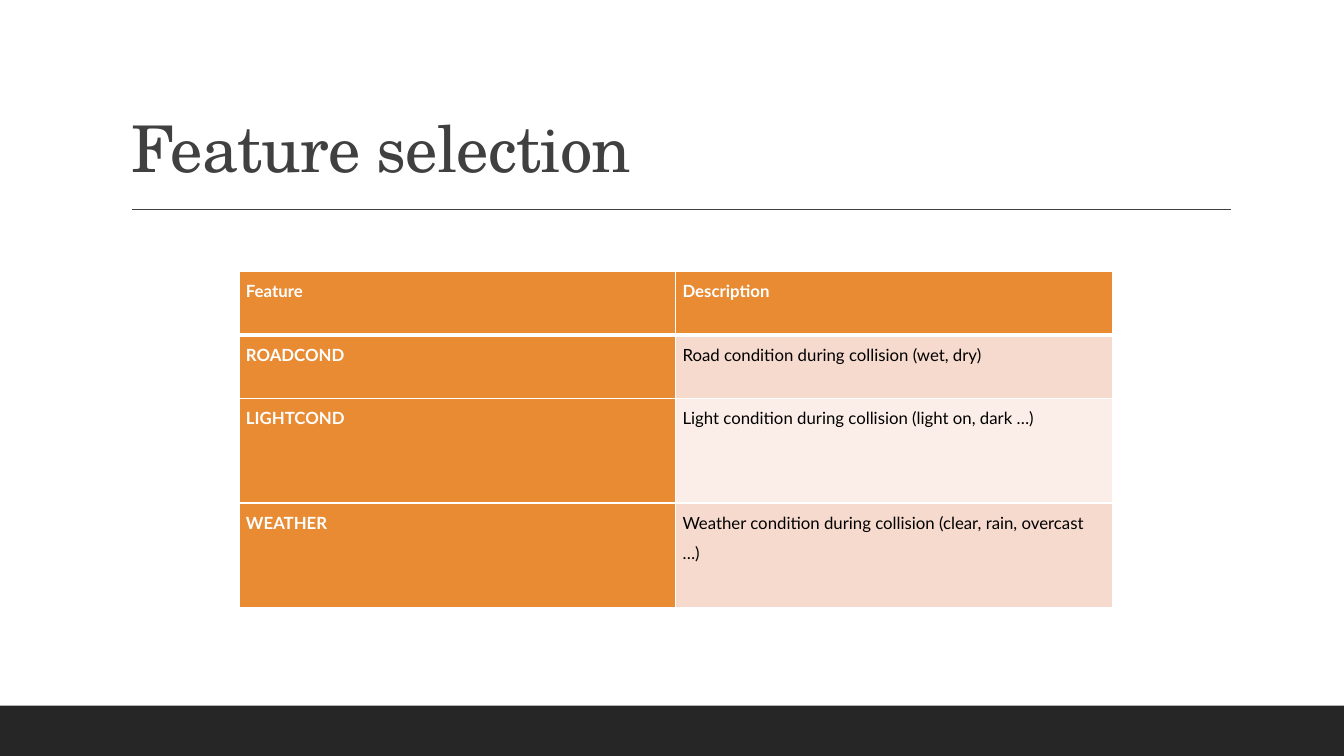
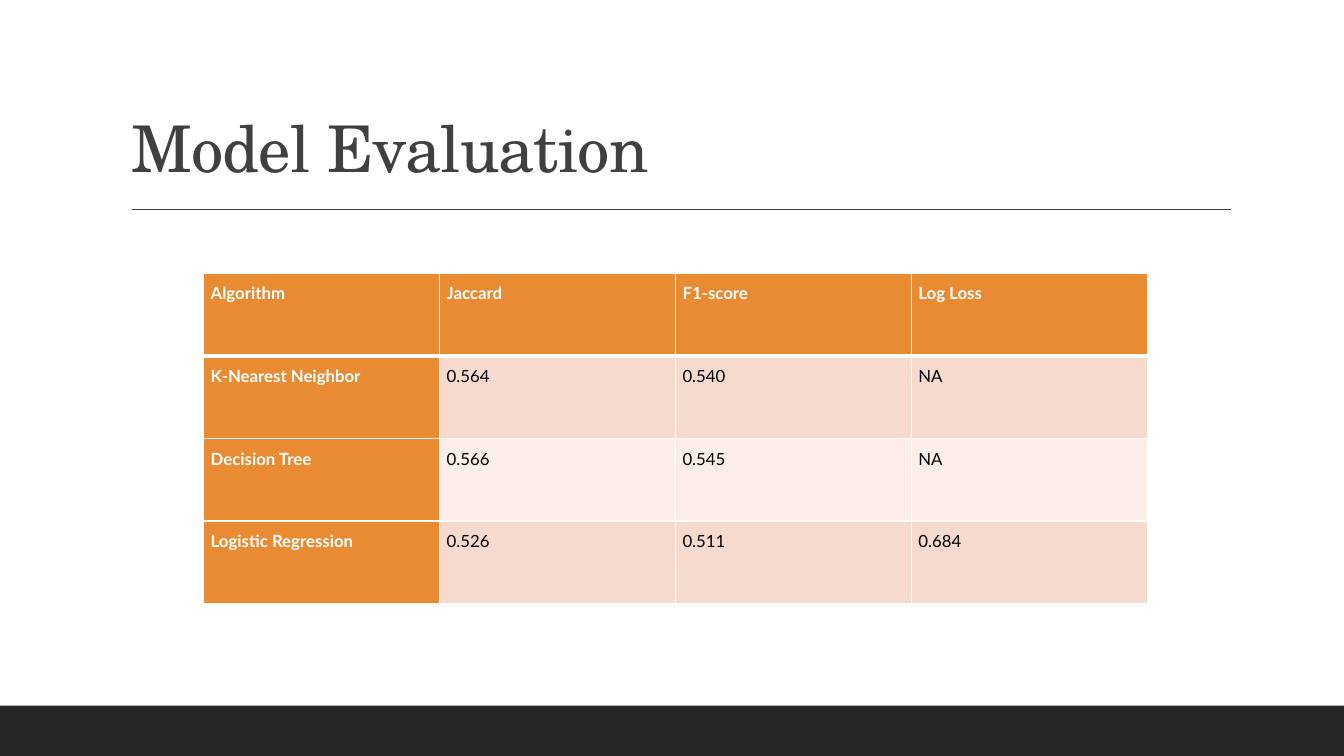
from lxml.etree import SubElement
from pptx import Presentation
from pptx.dml.color import RGBColor
from pptx.enum.shapes import MSO_CONNECTOR as Connector, MSO_SHAPE as Shape
from pptx.enum.text import MSO_ANCHOR as Anchor, MSO_AUTO_SIZE as AutoSize, PP_ALIGN as Align
from pptx.oxml import parse_xml
from pptx.oxml.ns import nsdecls, qn
from pptx.util import Inches, Pt

WHITE, BLACK, DARK, BAND = "FFFFFF", "000000", "404040", "262626"
ORANGE, STRIPES = "E88B33", ("F6DACE", "FBEEE8")

TITLE_PLACE = {"left": Inches(1.2), "top": Inches(0.31), "width": Inches(11), "height": Inches(1.59)}
TITLE_FRAME = {"vertical_anchor": Anchor.BOTTOM, "auto_size": AutoSize.NONE, "word_wrap": True}
TITLE_PARAGRAPH = {"alignment": Align.LEFT, "line_spacing": 0.9}
TITLE_FONT = {"name": "TeX Gyre Schola", "size": Pt(46)}
CELL_FRAME = {"margin_left": Inches(0.07), "margin_right": Inches(0.07),
              "margin_top": 0, "margin_bottom": 0, "vertical_anchor": Anchor.TOP}
CELL_PARAGRAPH = {"line_spacing": 1.5, "space_before": Pt(12)}
CELL_FONT = {"name": "Lato", "size": Pt(12)}

SLIDES = [
    {
        "title": "Feature selection",
        "left": 2.37, "top": 2.69, "column": 4.33,
        "heights": [0.63, 0.63, 1.04, 1.04],
        "rows": [
            ["Feature", "Description"],
            ["ROADCOND", "Road condition during collision (wet, dry)"],
            ["LIGHTCOND", "Light condition during collision (light on, dark …)"],
            ["WEATHER", "Weather condition during collision (clear, rain, overcast …)"],
        ],
    },
    {
        "title": "Model Evaluation",
        "left": 2.02, "top": 2.71, "column": 2.34,
        "heights": [0.82] * 4,
        "rows": [
            ["Algorithm", "Jaccard", "F1-score", "Log Loss"],
            ["K-Nearest Neighbor", "0.564", "0.540", "NA"],
            ["Decision Tree", "0.566", "0.545", "NA"],
            ["Logistic Regression", "0.526", "0.511", "0.684"],
        ],
    },
]


def color(hex_value):
    return RGBColor.from_string(hex_value)


def apply(target, formats):
    for attribute, value in formats.items():
        setattr(target, attribute, value)


prs = Presentation()
prs.slide_width, prs.slide_height = Inches(13.33), Inches(7.5)
title_only = prs.slide_layouts[5]

for content in SLIDES:
    slide = prs.slides.add_slide(title_only)

    footer_band = slide.shapes.add_shape(Shape.RECTANGLE, 0, Inches(7), prs.slide_width, Inches(0.5))
    footer_band.shadow.inherit = False
    footer_band.fill.solid()
    footer_band.fill.fore_color.rgb = color(BAND)
    footer_band.line.fill.background()

    title_rule = slide.shapes.add_connector(
        Connector.STRAIGHT, Inches(1.31), Inches(2.08), Inches(12.21), Inches(2.08))
    title_rule.line.color.rgb = color(DARK)
    title_rule.line.width = Pt(1)
    SubElement(title_rule._element.spPr, qn("a:effectLst"))

    title = slide.shapes.title
    title.text_frame.text = content["title"]
    heading = title.text_frame.paragraphs[0]
    apply(title, TITLE_PLACE)
    apply(title.text_frame, TITLE_FRAME)
    apply(heading, TITLE_PARAGRAPH)
    apply(heading.runs[0].font, TITLE_FONT)
    heading.runs[0].font.color.rgb = color(DARK)
    heading.runs[0]._r.get_or_add_rPr().set("spc", "-50")

    rows, heights = content["rows"], content["heights"]
    column_count = len(rows[0])
    table = slide.shapes.add_table(
        len(rows), column_count, Inches(content["left"]), Inches(content["top"]),
        Inches(content["column"] * column_count), Inches(sum(heights))).table
    table.first_col = True
    for column in table.columns:
        column.width = Inches(content["column"])

    for row_index, (values, height) in enumerate(zip(rows, heights)):
        table.rows[row_index].height = Inches(height)
        for column_index, value in enumerate(values):
            is_header = row_index == 0 or column_index == 0
            cell = table.cell(row_index, column_index)
            cell.text = value
            paragraph = cell.text_frame.paragraphs[0]
            font = paragraph.runs[0].font
            apply(cell, CELL_FRAME)
            apply(paragraph, CELL_PARAGRAPH)
            apply(font, CELL_FONT)
            font.bold = is_header
            font.color.rgb = color(WHITE if is_header else BLACK)
            cell.fill.solid()
            cell.fill.fore_color.rgb = color(ORANGE if is_header else STRIPES[(row_index - 1) % 2])

            border_widths = {"lnL": 1, "lnR": 1,
                             "lnT": 3 if row_index == 1 else 1,
                             "lnB": 3 if row_index == 0 else 1}
            for position, (side, width) in enumerate(border_widths.items()):
                border = parse_xml(
                    f'<a:{side} {nsdecls("a")} w="{Pt(width)}"><a:solidFill>'
                    f'<a:srgbClr val="{WHITE}"/></a:solidFill></a:{side}>')
                cell._tc.get_or_add_tcPr().insert(position, border)

prs.save("out.pptx")
